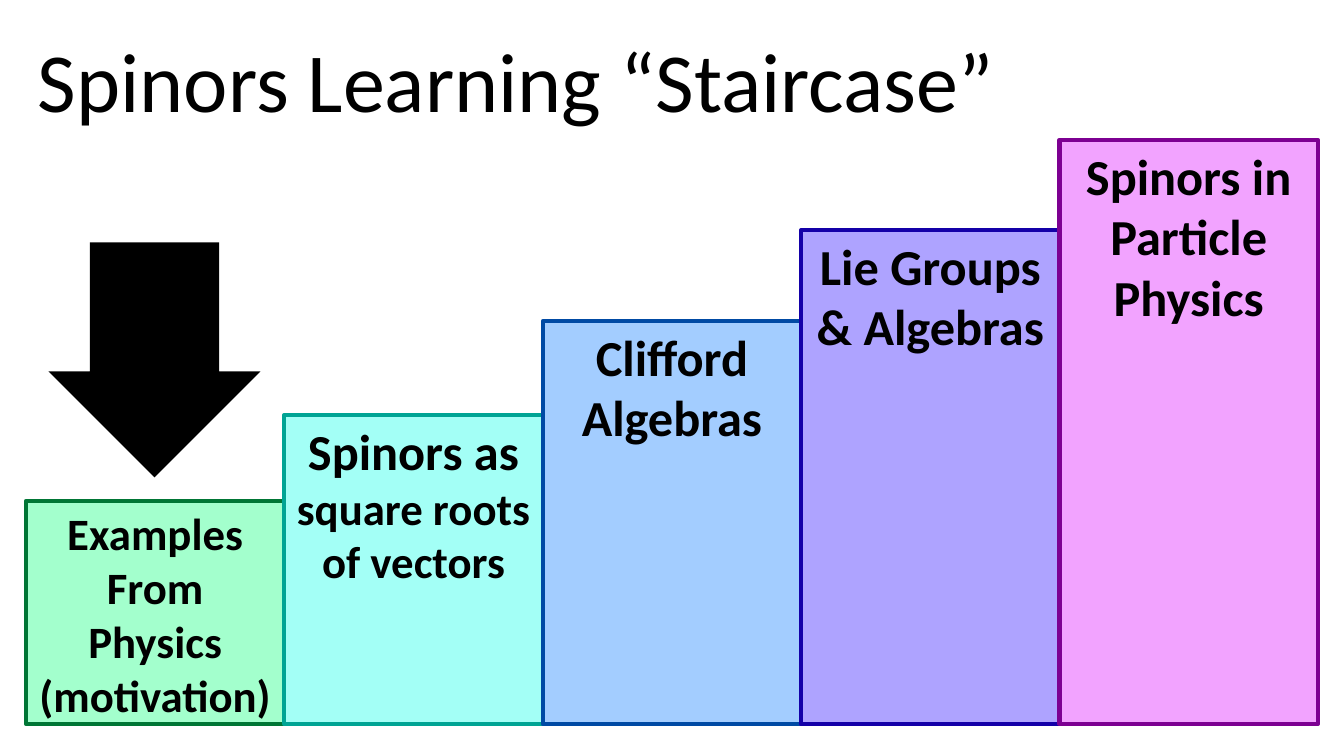
import pptx
import pptx.util
import pptx.dml.color
import pptx.enum.shapes
import pptx.enum.text

TITLE = "Spinors Learning “Staircase”"
STEPS = [
    (501, "green", [("Examples From Physics (motivation)", 32)]),
    (415, "teal", [("Spinors as ", 36), ("square roots of vectors", 32)]),
    (321, "blue", [("Clifford Algebras", 36)]),
    (230, "indigo", [("Lie Groups & Algebras", 36)]),
    (140, "purple", [("Spinors in Particle Physics", 36)]),
]
FILLS = {
    "green": "A3FFCD", "teal": "A3FFF6", "blue": "A3CDFF",
    "indigo": "AEA3FF", "purple": "F2A3FF", "black": "000000",
}
LINES = {
    "green": "007635", "teal": "00A494", "blue": "004AA4",
    "indigo": "1400A8", "purple": "7D0092",
}
LEFT, RIGHT, FLOOR = 26, 1318, 724
SHAPE = pptx.enum.shapes.MSO_SHAPE


def px(*sizes):
    return [pptx.util.Emu(round(size * 914400 / 100.8)) for size in sizes]


def rgb(code):
    return pptx.dml.color.RGBColor.from_string(code)


def write(para, parts, bold):
    for text, size in parts:
        run = para.add_run()
        run.text = text
        run.font.name = "Calibri"
        run.font.size = pptx.util.Pt(size)
        run.font.bold = bold
        run.font.color.rgb = rgb(FILLS["black"])


def block(slide, kind, box, fill):
    shape = slide.shapes.add_shape(kind, *px(*box))
    shape.shadow.inherit = False
    shape.fill.solid()
    shape.fill.fore_color.rgb = rgb(FILLS[fill])
    return shape


def main():
    deck = pptx.Presentation()
    deck.slide_width, deck.slide_height = px(1344, 756)
    slide = deck.slides.add_slide(deck.slide_layouts[6])

    title = slide.shapes.add_textbox(*px(28, 24, 996, 112)).text_frame
    title.word_wrap = True
    title.auto_size = pptx.enum.text.MSO_AUTO_SIZE.SHAPE_TO_FIT_TEXT
    write(title.paragraphs[0], [(TITLE, 60)], False)

    arrow = block(slide, SHAPE.RIGHT_ARROW, (37, 254, 235, 212), "black")
    arrow.line.fill.background()
    arrow.rotation = 90
    arrow.adjustments[0] = 0.61
    arrow.adjustments[1] = 0.5

    width = (RIGHT - LEFT) / len(STEPS)
    for place, (top, hue, parts) in enumerate(STEPS):
        box = (LEFT + place * width, top, width, FLOOR - top)
        step = block(slide, SHAPE.RECTANGLE, box, hue)
        step.line.color.rgb = rgb(LINES[hue])
        step.line.width = pptx.util.Pt(3)
        frame = step.text_frame
        frame.word_wrap = True
        frame.vertical_anchor = pptx.enum.text.MSO_ANCHOR.TOP
        para = frame.paragraphs[0]
        para.alignment = pptx.enum.text.PP_ALIGN.CENTER
        write(para, parts, True)

    deck.save("out.pptx")


if __name__ == "__main__":
    main()
